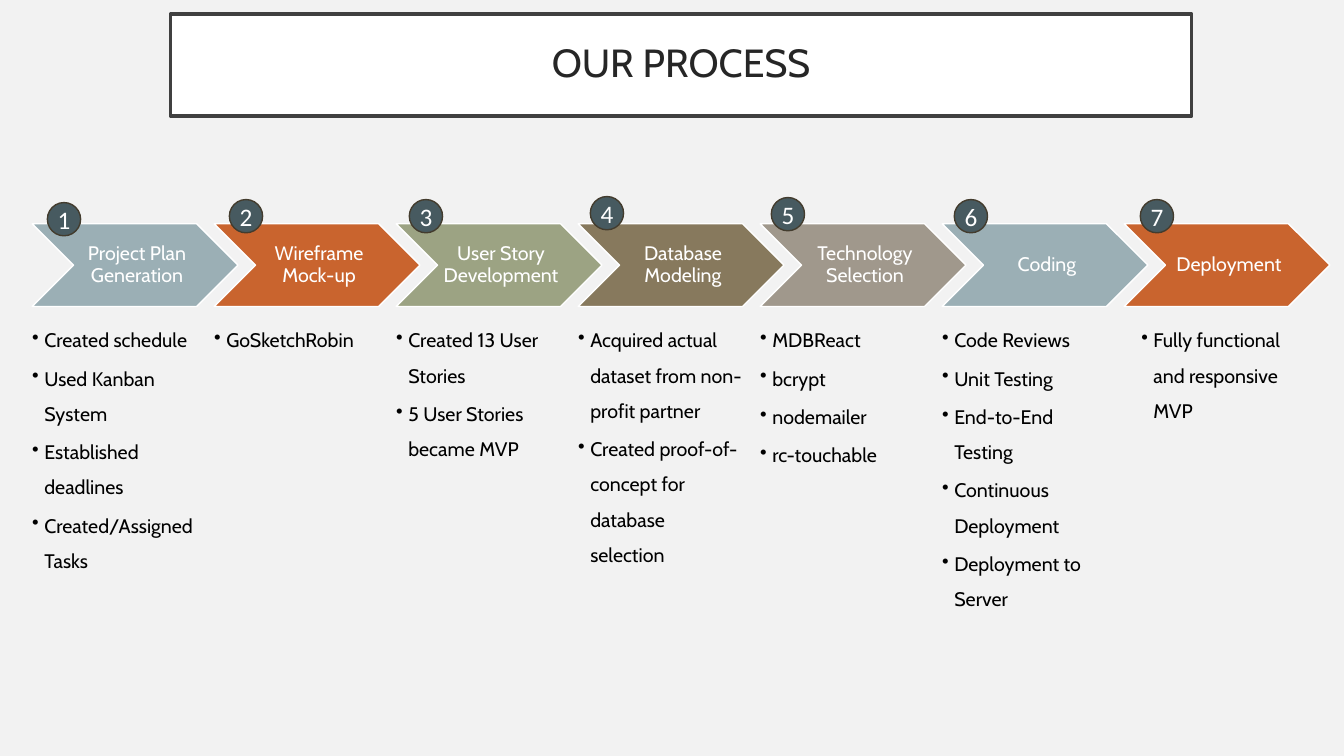
"""Build the "Our process" slide: seven numbered stages with their bullet points."""
from dataclasses import dataclass

from lxml.etree import SubElement
from pptx import Presentation
from pptx.dml.color import RGBColor
from pptx.enum.shapes import MSO_SHAPE
from pptx.enum.text import MSO_ANCHOR, PP_ALIGN
from pptx.oxml.ns import qn
from pptx.shapes.autoshape import Shape
from pptx.slide import Slide
from pptx.text.text import TextFrame, _Paragraph
from pptx.util import Inches, Pt

BACKGROUND = RGBColor(0xF2, 0xF2, 0xF2)
WHITE = RGBColor(0xFF, 0xFF, 0xFF)
BLACK = RGBColor(0x00, 0x00, 0x00)
TITLE_TEXT = RGBColor(0x26, 0x26, 0x26)
TITLE_BORDER = RGBColor(0x40, 0x40, 0x40)
BADGE_FILL = RGBColor(0x47, 0x5A, 0x60)
BADGE_BORDER = RGBColor(0x43, 0x3C, 0x2E)
BLUE_GREY = RGBColor(0x9B, 0xAF, 0xB5)
ORANGE = RGBColor(0xC9, 0x64, 0x2E)
SAGE = RGBColor(0x9C, 0xA3, 0x83)
OLIVE = RGBColor(0x87, 0x79, 0x5D)
TAUPE = RGBColor(0xA0, 0x98, 0x8C)

GRID_LEFT = 0.32
COLUMN = 10.83 / 6
CHEVRON_ROW, CHEVRON_WIDTH, CHEVRON_HEIGHT = 2.22, 2.04, 0.82
DETAIL_ROW, DETAIL_WIDTH, DETAIL_HEIGHT = 3.14, 1.63, 3.11
BADGE_SIZE = 0.33
BULLET_INDENT = 0.12


@dataclass(frozen=True)
class Box:
    """A rectangle in inches."""

    left: float
    top: float
    width: float
    height: float

    def emu(self) -> tuple[int, int, int, int]:
        """Return the rectangle in the units of the slide."""
        return Inches(self.left), Inches(self.top), Inches(self.width), Inches(self.height)


@dataclass(frozen=True)
class Stage:
    """One step of the process; shifts are measured from its column."""

    label: str
    color: RGBColor
    badge_shift: float
    badge_top: float
    details: tuple[str, ...]
    detail_shift: float = 0


STAGES = (
    Stage("Project Plan Generation", BLUE_GREY, 0.15, 2.01,
          ("Created schedule", "Used Kanban System", "Established deadlines",
           "Created/Assigned Tasks")),
    Stage("Wireframe Mock-up", ORANGE, 0.15, 1.98, ("GoSketchRobin",)),
    Stage("User Story Development", SAGE, 0.13, 1.98,
          ("Created 13 User Stories", "5 User Stories became MVP")),
    Stage("Database Modeling", OLIVE, 0.12, 1.95,
          ("Acquired actual dataset from non-profit partner",
           "Created proof-of-concept for database selection")),
    Stage("Technology Selection", TAUPE, 0.11, 1.96,
          ("MDBReact", "bcrypt", "nodemailer", "rc-touchable")),
    Stage("Coding", BLUE_GREY, 0.12, 1.98,
          ("Code Reviews", "Unit Testing", "End-to-End Testing",
           "Continuous Deployment", "Deployment to Server")),
    Stage("Deployment", ORANGE, 0.16, 1.98,
          ("Fully functional and responsive MVP",), 0.17),
)


def set_font(paragraph: _Paragraph, face: str, size: float, color: RGBColor) -> None:
    """Give a paragraph its typeface, size and colour."""
    paragraph.font.name = face
    paragraph.font.size = Pt(size)
    paragraph.font.color.rgb = color


def set_insets(frame: TextFrame, left: float, others: float) -> None:
    """Set the left inset and the three other insets in inches."""
    frame.margin_left = Inches(left)
    frame.margin_top = frame.margin_right = frame.margin_bottom = Inches(others)


def add_panel(slide: Slide, preset: MSO_SHAPE, box: Box, fill: RGBColor,
              border: RGBColor, weight: float, text: str) -> Shape:
    """Add a filled, outlined shape with one centred paragraph."""
    panel = slide.shapes.add_shape(preset, *box.emu())
    panel.shadow.inherit = False
    panel.fill.solid()
    panel.fill.fore_color.rgb = fill
    panel.line.color.rgb = border
    panel.line.width = Pt(weight)
    panel.text_frame.text = text
    panel.text_frame.vertical_anchor = MSO_ANCHOR.MIDDLE
    panel.text_frame.paragraphs[0].alignment = PP_ALIGN.CENTER
    return panel


def add_title(slide: Slide, text: str) -> None:
    """Add the framed title."""
    title = add_panel(slide, MSO_SHAPE.RECTANGLE, Box(1.69, 0.14, 10.13, 1.01),
                      WHITE, TITLE_BORDER, 2.5, text)
    set_insets(title.text_frame, 0.2, 0.2)
    heading = title.text_frame.paragraphs[0]
    heading.line_spacing = 0.9
    set_font(heading, "Cabin", 28, TITLE_TEXT)


def add_chevron(slide: Slide, stage: Stage, left: float) -> None:
    """Add the labelled arrow of a stage."""
    chevron = add_panel(slide, MSO_SHAPE.CHEVRON,
                        Box(left, CHEVRON_ROW, CHEVRON_WIDTH, CHEVRON_HEIGHT),
                        stage.color, WHITE, 1, stage.label)
    set_insets(chevron.text_frame, 0.06, 0.02)
    label = chevron.text_frame.paragraphs[0]
    label.line_spacing = 0.9
    set_font(label, "Cabin", 14, WHITE)


def add_bullet(paragraph: _Paragraph) -> None:
    """Give a paragraph a black bullet and a hanging indent."""
    properties = paragraph._p.get_or_add_pPr()
    properties.set("marL", str(Inches(BULLET_INDENT)))
    properties.set("indent", str(-Inches(BULLET_INDENT)))
    bullet_color = SubElement(properties, qn("a:buClr"))
    SubElement(bullet_color, qn("a:srgbClr")).set("val", str(BLACK))
    SubElement(properties, qn("a:buChar")).set("char", "•")


def add_details(slide: Slide, stage: Stage, left: float) -> None:
    """Add the bullet list under a stage."""
    box = Box(left + stage.detail_shift, DETAIL_ROW, DETAIL_WIDTH, DETAIL_HEIGHT)
    frame = slide.shapes.add_textbox(*box.emu()).text_frame
    frame.word_wrap = True
    set_insets(frame, 0, 0)
    frame.text = "\n".join(stage.details)
    for index, detail in enumerate(frame.paragraphs):
        add_bullet(detail)
        detail.line_spacing = 1.5
        if index:
            detail.space_before = Pt(2.1)
        set_font(detail, "Cabin", 14, BLACK)


def add_badge(slide: Slide, stage: Stage, left: float, number: int) -> None:
    """Add the numbered circle of a stage."""
    badge = add_panel(slide, MSO_SHAPE.OVAL,
                      Box(left + stage.badge_shift, stage.badge_top, BADGE_SIZE, BADGE_SIZE),
                      BADGE_FILL, BADGE_BORDER, 1, str(number))
    set_insets(badge.text_frame, 0, 0)
    badge.text_frame.word_wrap = False
    set_font(badge.text_frame.paragraphs[0], "Calibri", 18, WHITE)


def main() -> None:
    """Build and save the presentation."""
    deck = Presentation()
    deck.slide_width, deck.slide_height = Inches(13.33), Inches(7.5)
    slide = deck.slides.add_slide(deck.slide_layouts[6])
    slide.background.fill.solid()
    slide.background.fill.fore_color.rgb = BACKGROUND
    add_title(slide, "OUR PROCESS")
    for index, stage in enumerate(STAGES):
        left = GRID_LEFT + index * COLUMN
        add_chevron(slide, stage, left)
        add_details(slide, stage, left)
        add_badge(slide, stage, left, index + 1)
    deck.save("out.pptx")


if __name__ == "__main__":
    main()
